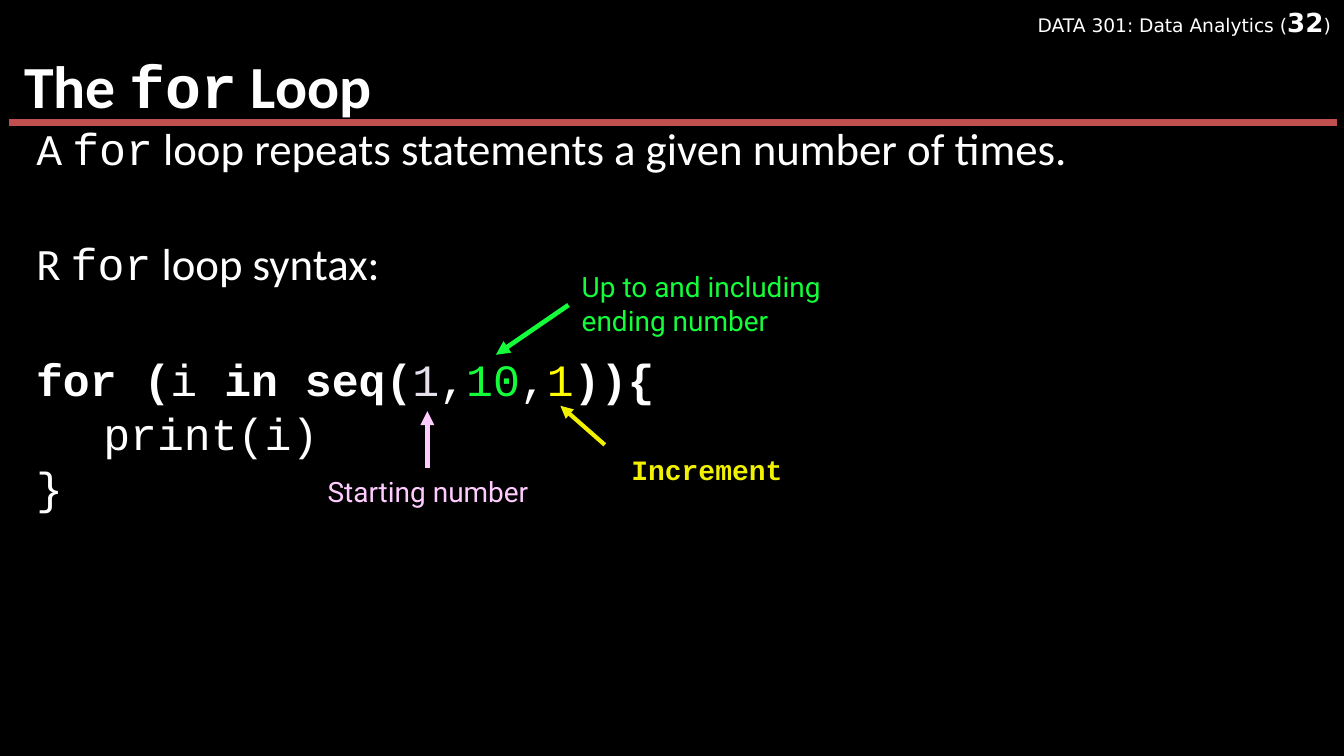
from dataclasses import dataclass
from typing import Sequence

from lxml.etree import SubElement
from pptx import Presentation
from pptx.dml.color import RGBColor
from pptx.enum.shapes import MSO_CONNECTOR as Connector
from pptx.enum.text import MSO_ANCHOR as Anchor, MSO_AUTO_SIZE as AutoSize, PP_ALIGN as Align
from pptx.oxml.ns import qn
from pptx.util import Inches, Pt

SLIDE_WIDTH = Inches(10)
SLIDE_HEIGHT = SLIDE_WIDTH * 9 // 16
GRID_COLUMNS = 100
UNIT = SLIDE_WIDTH / GRID_COLUMNS

BLACK, WHITE, RED = "000000", "FFFFFF", "C0504D"
PINK, GREEN, YELLOW = "FFCCFF", "14FD3A", "F0F000"
START_COLOR, STEP_COLOR = "E6E0EC", "FFFF00"
SANS, MONO, LABEL, HEADER = "Calibri", "Courier New", "Roboto", "DejaVu Sans"


@dataclass(frozen=True)
class Span:
    text: str
    font: str = MONO
    size: float = 24
    color: str = WHITE
    bold: bool = False


@dataclass(frozen=True)
class Box:
    left: float
    top: float
    width: float
    height: float


@dataclass(frozen=True)
class Line:
    start: tuple[float, float]
    end: tuple[float, float]
    color: str
    weight: float
    arrow: bool = True


@dataclass(frozen=True)
class Callout:
    box: Box
    lines: tuple[Span, ...]
    arrow: Line
    align: Align = Align.CENTER


def grid(count: float) -> int:
    return round(count * UNIT)


def rgb(color: str) -> RGBColor:
    return RGBColor.from_string(color)


def write(text_frame, lines: Sequence[Sequence[Span]], align: Align = Align.LEFT) -> None:
    for index, spans in enumerate(lines):
        paragraph = text_frame.paragraphs[0] if index == 0 else text_frame.add_paragraph()
        paragraph.alignment = align
        for span in spans:
            run = paragraph.add_run()
            run.text = span.text
            run.font.name = span.font
            run.font.size = Pt(span.size)
            run.font.bold = span.bold
            run.font.color.rgb = rgb(span.color)


def indent(paragraph, columns: float) -> None:
    properties = paragraph._p.get_or_add_pPr()
    properties.set("marL", str(grid(columns)))
    properties.set("indent", "0")


def place(shape, box: Box) -> None:
    shape.left, shape.top = grid(box.left), grid(box.top)
    shape.width, shape.height = grid(box.width), grid(box.height)


def add_text(shapes, box: Box, lines: Sequence[Sequence[Span]], align: Align = Align.LEFT):
    shape = shapes.add_textbox(0, 0, 0, 0)
    place(shape, box)
    shape.text_frame.word_wrap = True
    write(shape.text_frame, lines, align)
    return shape


def add_line(shapes, line: Line) -> None:
    connector = shapes.add_connector(
        Connector.STRAIGHT, *map(grid, line.start), *map(grid, line.end))
    connector.line.color.rgb = rgb(line.color)
    connector.line.width = Pt(line.weight)
    if line.arrow:
        SubElement(connector.line._get_or_add_ln(), qn("a:tailEnd"), type="triangle")
    SubElement(connector._element.spPr, qn("a:effectLst"))


def add_callout(slide, callout: Callout) -> None:
    group = slide.shapes.add_group_shape()
    add_text(group.shapes, callout.box, [[span] for span in callout.lines], callout.align)
    add_line(group.shapes, callout.arrow)


def fill_title(slide) -> None:
    title = slide.shapes.title
    place(title, Box(0.8, 0, 98.3, 9))
    frame = title.text_frame
    frame.auto_size = AutoSize.NONE
    frame.vertical_anchor = Anchor.BOTTOM
    frame.margin_top = frame.margin_bottom = 0
    write(frame, [[Span("The ", SANS, 32, bold=True),
                   Span("for", MONO, 32, bold=True),
                   Span(" Loop", SANS, 32, bold=True)]])
    frame.paragraphs[0].line_spacing = 0.89


def fill_body(slide) -> None:
    body = slide.placeholders[1]
    place(body, Box(0.7, 9, 98.8, 46.7))
    frame = body.text_frame
    frame.auto_size = AutoSize.NONE
    write(frame, [
        [Span("A ", SANS), Span("for"),
         Span(" loop repeats statements a given number of times.", SANS)],
        [Span("R ", SANS), Span("for"), Span(" loop syntax:", SANS)],
    ])
    for paragraph, space in zip(frame.paragraphs, (10, 35.5)):
        paragraph.line_spacing = 0.89
        paragraph.space_before = Pt(space)
        indent(paragraph, 1)
        SubElement(paragraph._p.get_or_add_pPr(), qn("a:buNone"))


def add_code(slide) -> None:
    code = add_text(slide.shapes, Box(1.7, 25.7, 92.5, 13.1), [
        [Span("for (", bold=True), Span("i"), Span(" in seq(", bold=True),
         Span("1", color=START_COLOR), Span(","), Span("10", color=GREEN),
         Span(","), Span("1", color=STEP_COLOR), Span(")){", bold=True)],
        [Span("print(i)")],
        [Span("}")],
    ])
    indent(code.text_frame.paragraphs[1], 5)


CALLOUTS = (
    Callout(Box(23, 34.8, 17.7, 3.5),
            (Span("Starting number", LABEL, 15, PINK),),
            Line((31.8, 34.8), (31.8, 30.6), PINK, 2.5)),
    Callout(Box(42.3, 19.6, 20.8, 6.1),
            (Span("Up to and including", LABEL, 15, GREEN),
             Span("ending number", LABEL, 15, GREEN)),
            Line((42.3, 22.7), (36.9, 26.4), GREEN, 2.5), Align.LEFT),
    Callout(Box(40.7, 33.2, 23.8, 3.5),
            (Span("Increment", MONO, 15, YELLOW, True),),
            Line((45, 33.1), (41.7, 30.2), YELLOW, 2.25)),
)


def main() -> None:
    presentation = Presentation()
    presentation.slide_width, presentation.slide_height = SLIDE_WIDTH, SLIDE_HEIGHT
    slide = presentation.slides.add_slide(presentation.slide_layouts[1])
    slide.background.fill.solid()
    slide.background.fill.fore_color.rgb = rgb(BLACK)

    add_text(slide.shapes, Box(55.8, 0, 44.2, 3.4), [[
        Span("DATA 301: Data Analytics (", HEADER, 10),
        Span("32", HEADER, 14, bold=True),
        Span(")", HEADER, 10),
    ]], Align.RIGHT)
    add_line(slide.shapes, Line((0.7, 9.1), (99.5, 9.1), RED, 3.75, arrow=False))
    fill_title(slide)
    fill_body(slide)
    add_code(slide)
    for callout in CALLOUTS:
        add_callout(slide, callout)

    presentation.save("out.pptx")


if __name__ == "__main__":
    main()
